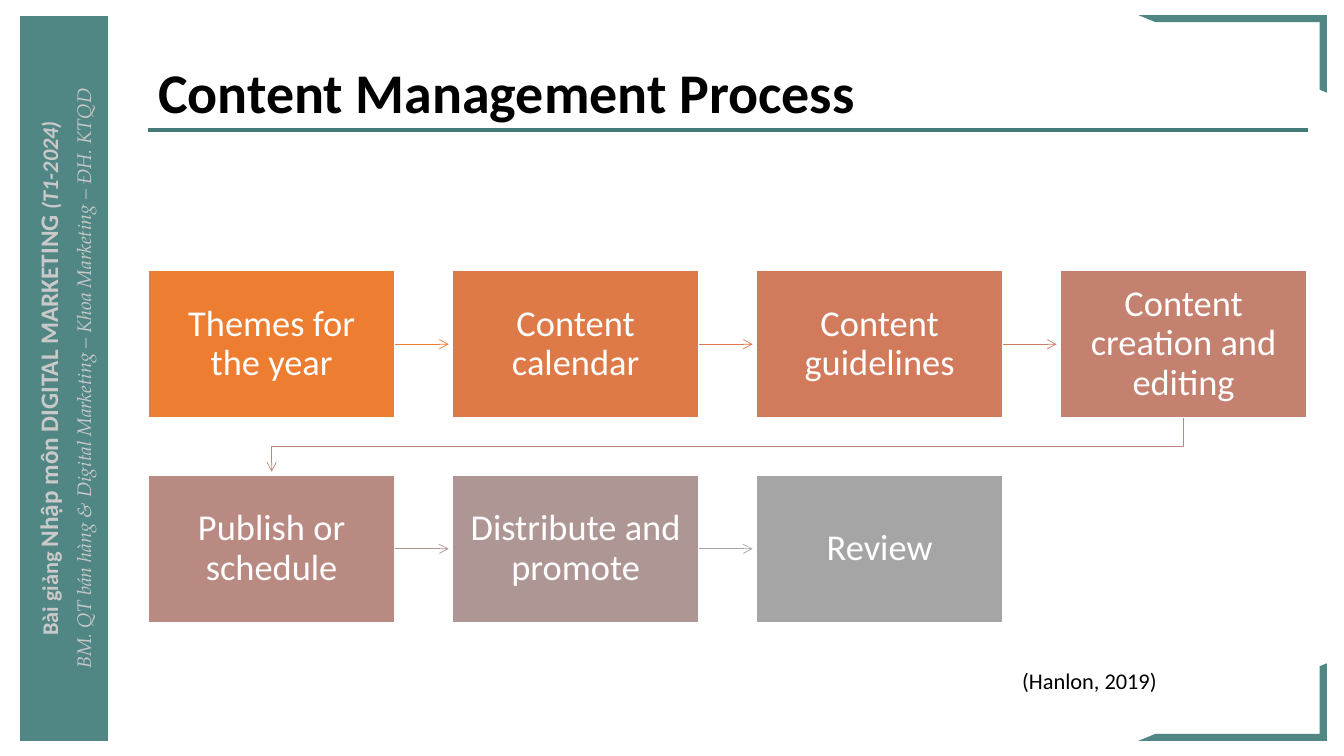
"""Builds the Content Management Process slide."""
import pptx
import pptx.util
import pptx.dml.color
import pptx.enum.shapes
import pptx.enum.text
import pptx.oxml.ns
import lxml.etree

Inches = pptx.util.Inches
Pt = pptx.util.Pt
RGBColor = pptx.dml.color.RGBColor
SHAPE = pptx.enum.shapes.MSO_SHAPE
ALIGN = pptx.enum.text.PP_ALIGN
ANCHOR = pptx.enum.text.MSO_ANCHOR
qn = pptx.oxml.ns.qn

TITLE = "Content Management Process"
CITATION = "(Hanlon, 2019)"
STEPS = [
    ("Themes for the year", RGBColor(0xED, 0x7D, 0x31), RGBColor(0xED, 0x7D, 0x31)),
    ("Content calendar", RGBColor(0xDE, 0x7A, 0x47), RGBColor(0xDC, 0x7A, 0x4B)),
    ("Content guidelines", RGBColor(0xD1, 0x7B, 0x5C), RGBColor(0xCC, 0x7D, 0x64)),
    ("Content creation and editing", RGBColor(0xC4, 0x81, 0x70), RGBColor(0xBD, 0x86, 0x7B)),
    ("Publish or schedule", RGBColor(0xB9, 0x8A, 0x82), RGBColor(0xB0, 0x93, 0x91)),
    ("Distribute and promote", RGBColor(0xAE, 0x96, 0x94), RGBColor(0xA5, 0xA5, 0xA5)),
    ("Review", RGBColor(0xA5, 0xA5, 0xA5), None),
]
SANS, SERIF = "Calibri", "TeX Gyre Pagella"
WHITE = RGBColor(0xFF, 0xFF, 0xFF)
BLACK = RGBColor(0, 0, 0)
SILVER = RGBColor(0xC9, 0xC9, 0xC9)
TEAL = RGBColor(0x50, 0x87, 0x84)
RULE = RGBColor(0x46, 0x7A, 0x78)
SIDEBAR = [
    [("Bài giảng ", 16, SANS, True, False),
     ("Nhập môn DIGITAL MARKETING ", 18, SANS, True, False),
     ("(T1-2024)", 16, SANS, True, True)],
    [("BM. QT bán hàng & Digital Marketing – Khoa Marketing – ĐH. KTQD", 14, SERIF, False, True)],
]
CORNERS = [(6.58, 180, False), (0.15, 0, True)]

COLUMNS = 4
LEFT, TOP = 1.47, 2.68
BOX_WIDTH, BOX_HEIGHT = 2.45, 1.47
COLUMN_STEP, ROW_STEP = 3.015, 2.03
ARROW_LENGTH = 0.53

deck = pptx.Presentation()
deck.slide_width, deck.slide_height = Inches(13.33), Inches(7.5)
page = deck.slides.add_slide(deck.slide_layouts[6])


def add_span(para, text, size, color, font=SANS, bold=False, italic=False):
    span = para.add_run()
    span.text = text
    span.font.size, span.font.name = Pt(size), font
    span.font.bold, span.font.italic = bold, italic
    span.font.color.rgb = color


def add_block(kind, left, top, width, height, fill):
    block = page.shapes.add_shape(kind, Inches(left), Inches(top), Inches(width), Inches(height))
    block.shadow.inherit = False
    block.fill.solid()
    block.fill.fore_color.rgb = fill
    block.line.fill.background()
    return block


def add_text(left, top, width, height, text, size, bold=False):
    box = page.shapes.add_textbox(Inches(left), Inches(top), Inches(width), Inches(height))
    box.text_frame.word_wrap = True
    add_span(box.text_frame.paragraphs[0], text, size, BLACK, bold=bold)
    return box


def add_line(start, end, color, width):
    line = page.shapes.add_connector(
        pptx.enum.shapes.MSO_CONNECTOR.STRAIGHT, *(Inches(value) for value in start + end))
    line.line.color.rgb, line.line.width = color, Pt(width)
    lxml.etree.SubElement(line._element.spPr, qn("a:effectLst"))
    return line


def add_arrowhead(shape):
    lxml.etree.SubElement(shape.line._get_or_add_ln(), qn("a:tailEnd"), type="arrow")


def box_position(index):
    row, column = divmod(index, COLUMNS)
    return LEFT + column * COLUMN_STEP, TOP + row * ROW_STEP


def add_step(index, label, fill):
    box = add_block(SHAPE.RECTANGLE, *box_position(index), BOX_WIDTH, BOX_HEIGHT, fill)
    box.line.color.rgb, box.line.width = WHITE, Pt(1.5)
    frame = box.text_frame
    frame.word_wrap, frame.vertical_anchor = True, ANCHOR.MIDDLE
    frame.margin_left = frame.margin_right = Inches(0.12)
    frame.margin_top = frame.margin_bottom = Inches(0.13)
    para = frame.paragraphs[0]
    para.alignment, para.line_spacing = ALIGN.CENTER, 0.9
    add_span(para, label, 26, WHITE)
    return box


def add_row_turn(index, color):
    left, top = box_position(index)
    start_x, start_y = left + BOX_WIDTH / 2, top + BOX_HEIGHT
    end_x, end_y = LEFT + BOX_WIDTH / 2, start_y + ARROW_LENGTH
    middle_y = start_y + 0.28
    builder = page.shapes.build_freeform(Inches(start_x), Inches(start_y))
    corners = [(start_x, middle_y), (end_x, middle_y), (end_x, end_y)]
    builder.add_line_segments([(Inches(x), Inches(y)) for x, y in corners], close=False)
    turn = builder.convert_to_shape()
    turn.shadow.inherit = False
    turn.fill.background()
    turn.line.color.rgb, turn.line.width = color, Pt(0.5)
    add_arrowhead(turn)


def add_step_arrow(index, box, color):
    left, top = box_position(index)
    x, y = left + BOX_WIDTH, top + BOX_HEIGHT / 2
    arrow = add_line((x, y), (x + ARROW_LENGTH, y), color, 0.5)
    arrow.begin_connect(box, 3)
    add_arrowhead(arrow)


sidebar = add_block(SHAPE.RECTANGLE, 0.2, 0.16, 0.87, 7.19, TEAL).text_frame
sidebar.word_wrap, sidebar.vertical_anchor = True, ANCHOR.MIDDLE
sidebar._txBody.bodyPr.set("vert", "vert270")
for number, spans in enumerate(SIDEBAR):
    para = sidebar.add_paragraph() if number else sidebar.paragraphs[0]
    para.alignment = ALIGN.CENTER
    if number:
        para.space_before = Pt(6)
    for text, size, font, bold, italic in spans:
        add_span(para, text, size, SILVER, font, bold, italic)

for top, rotation, flipped in CORNERS:
    corner = add_block(SHAPE.HALF_FRAME, 11.29, top, 1.87, 0.77, TEAL)
    corner.adjustments[0], corner.adjustments[1] = 0.09, 0.093
    corner.rotation = rotation
    if flipped:
        corner._element.spPr.find(qn("a:xfrm")).set("flipH", "1")

add_line((LEFT, 1.29), (12.97, 1.29), RULE, 2.25)
title = add_text(LEFT, 0.37, 11.5, 1.15, TITLE, 40, bold=True).text_frame
title.vertical_anchor = ANCHOR.MIDDLE
title.paragraphs[0].line_spacing = 0.9

for index, (label, fill, arrow_color) in enumerate(STEPS):
    box = add_step(index, label, fill)
    if arrow_color is None:
        continue
    if index % COLUMNS == COLUMNS - 1:
        add_row_turn(index, arrow_color)
    else:
        add_step_arrow(index, box, arrow_color)

add_text(10.04, 6.57, 2.38, 0.37, CITATION, 16)

deck.save("out.pptx")
